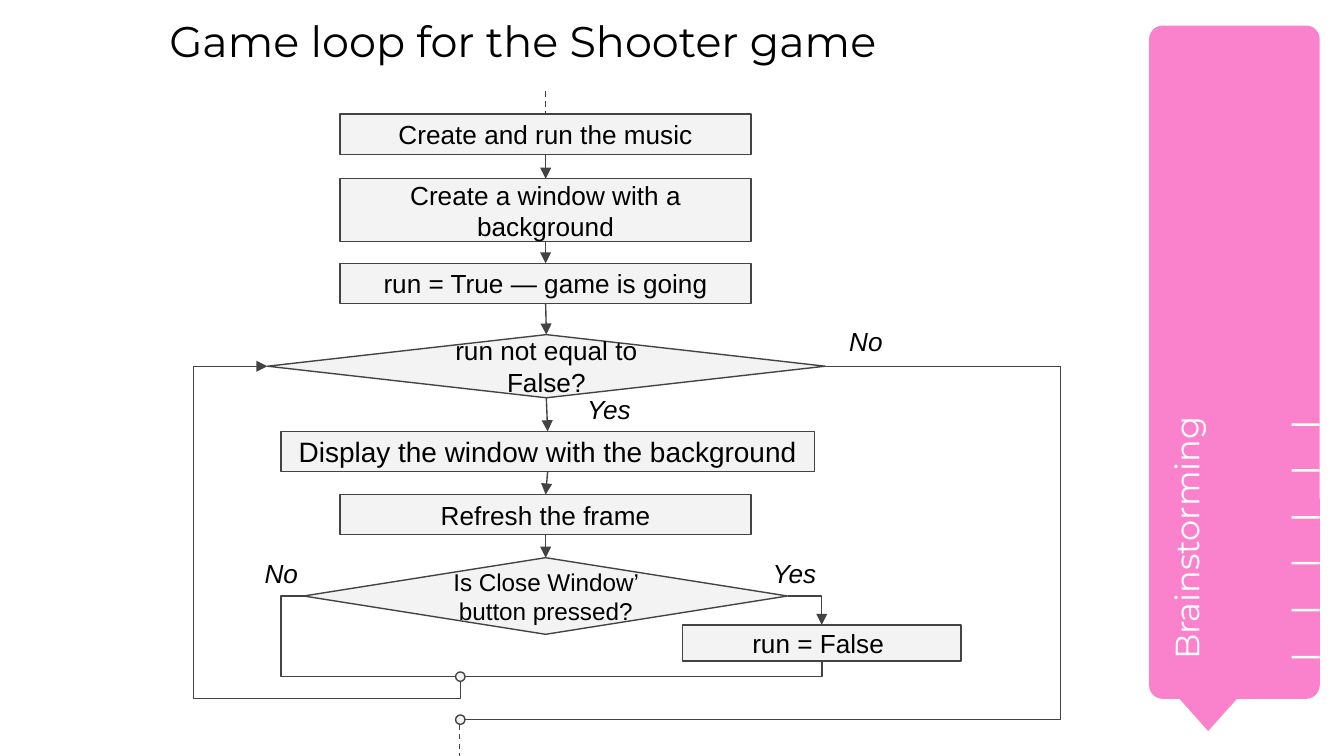
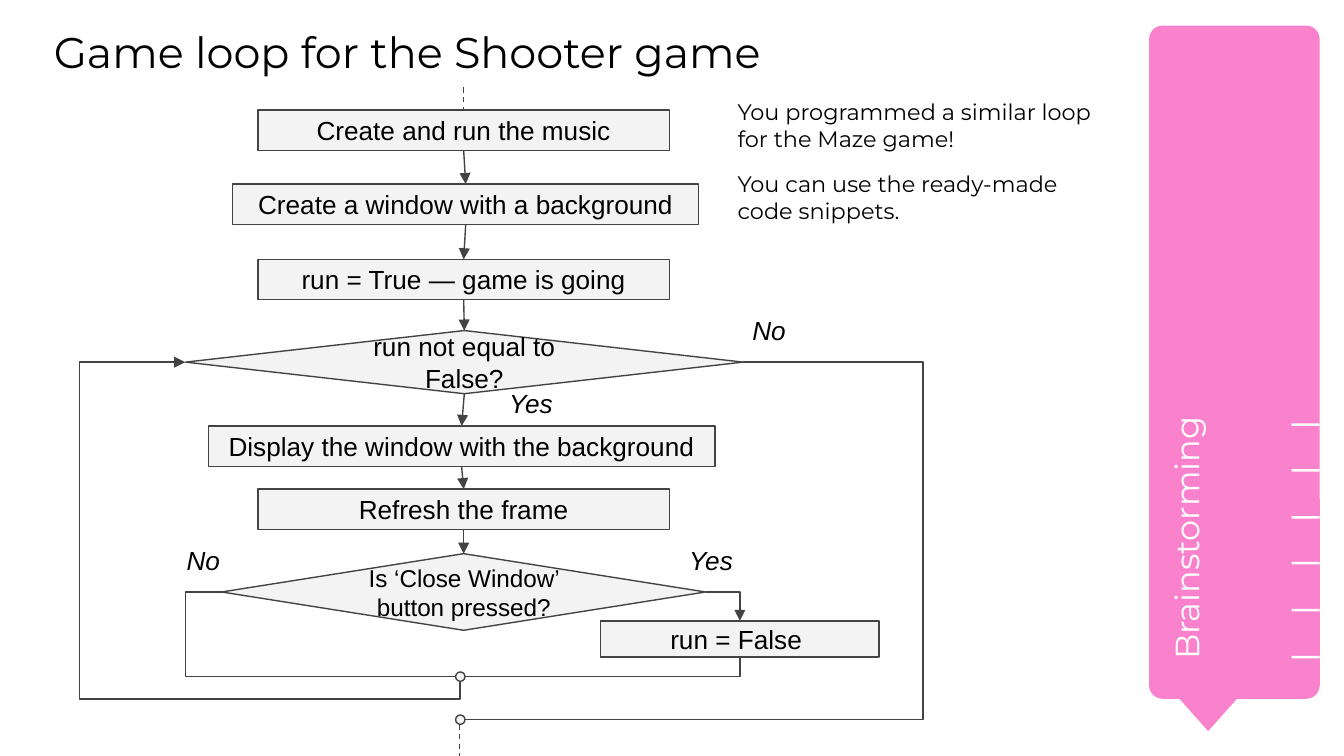
from dataclasses import dataclass

from lxml import etree
from pptx import Presentation
from pptx import util as u
from pptx.dml.color import RGBColor
from pptx.enum import dml, shapes, text
from pptx.oxml.ns import qn

PX = u.Inches(1) // 100
PINK, WHITE, BLACK = "FA82CC", "FFFFFF", "000000"
PALE, DARK = "F3F3F3", "434343"
HEADING_FONT, CHART_FONT = "Montserrat", "Arial"
TITLE = "Game loop for the Shooter game"
RECT = shapes.MSO_SHAPE.RECTANGLE
DECISION = shapes.MSO_SHAPE.FLOWCHART_DECISION
SIDES = ("top", "left", "bottom", "right")
JOINT = 7


@dataclass
class Step:
    text: str
    top: int
    width: int = 306
    height: int = 30
    kind: int = RECT
    size: int = 14
    shift: int = 0


@dataclass
class Flow:
    """Places inside a flowchart: x from its left, label places from axis and top."""
    axis: int
    joint_x: int
    no_rail: int
    steps: list
    labels: list


def px(*lengths):
    return [length * PX for length in lengths]


def color(hex_text):
    return RGBColor.from_string(hex_text)


def write(frame, lines, font, size, ink=BLACK, inset=10, align=text.PP_ALIGN.LEFT,
          anchor=text.MSO_ANCHOR.TOP, italic=False, gap=0):
    frame.word_wrap = True
    frame.auto_size = text.MSO_AUTO_SIZE.NONE
    frame.vertical_anchor = anchor
    for side in SIDES:
        setattr(frame, f"margin_{side}", inset * PX)
    for index, line in enumerate(lines):
        para = frame.add_paragraph() if index else frame.paragraphs[0]
        para.alignment = align
        if index:
            para.space_before = u.Pt(gap)
        span = para.add_run()
        span.text = line
        span.font.name, span.font.size = font, u.Pt(size)
        span.font.italic = italic
        span.font.color.rgb = color(ink)


def add_box(parent, kind, place, fill, outline=None):
    box = parent.shapes.add_shape(kind, *px(*place))
    box.shadow.inherit = False
    box.fill.solid()
    box.fill.fore_color.rgb = color(fill)
    if outline:
        box.line.color.rgb = color(outline)
        box.line.width = u.Pt(0.75)
    else:
        box.line.fill.background()
    return box


def add_text(page, place, lines, font, size, **style):
    box = page.shapes.add_textbox(*px(*place))
    write(box.text_frame, lines, font, size, **style)
    return box


def style_line(line, arrow=False, dashed=False):
    line.line.color.rgb = color(DARK)
    line.line.width = u.Pt(0.75)
    if dashed:
        line.line.dash_style = dml.MSO_LINE.DASH
    properties = line.element.spPr
    if arrow:
        etree.SubElement(properties.find(qn("a:ln")), qn("a:tailEnd"), type="triangle")
    etree.SubElement(properties, qn("a:effectLst"))


def dashed_line(page, x, top, bottom):
    line = page.shapes.add_connector(shapes.MSO_CONNECTOR.STRAIGHT, *px(x, top, x, bottom))
    style_line(line, dashed=True)


def side_point(box, side):
    x, y = box.left + box.width // 2, box.top + box.height // 2
    return {"top": (x, box.top), "left": (box.left, y),
            "bottom": (x, box.top + box.height), "right": (box.left + box.width, y)}[side]


def glue(line, tag, box, side):
    # Ellipses have eight connection sites, the other shapes four.
    step = 2 if box.auto_shape_type == shapes.MSO_SHAPE.OVAL else 1
    holder = line.element.find(".//" + qn("p:cNvCxnSpPr"))
    etree.SubElement(holder, qn(tag), id=str(box.shape_id),
                     idx=str(SIDES.index(side) * step))


def link(page, start, end, arrow=True, elbow=False, turns=()):
    """Join two (shape, side) ends; turns are the px rails an elbow runs along."""
    first, last = side_point(*start), side_point(*end)
    downward = elbow and start[1] == "bottom"
    ends = [first, last]
    if downward:
        x, y = [(a + b) // 2 for a, b in zip(first, last)]
        ends = [(x + b - y, y - a + x) for a, b in ends]
    kind = shapes.MSO_CONNECTOR.ELBOW if elbow else shapes.MSO_CONNECTOR.STRAIGHT
    line = page.shapes.add_connector(kind, *ends[0], *ends[1])
    if elbow:
        geometry = line.element.spPr.find(qn("a:prstGeom"))
        geometry.set("prst", f"bentConnector{len(turns) + 2}")
        guides = geometry.find(qn("a:avLst"))
        for index, rail in enumerate(turns):
            axis = (index + downward) % 2
            share = (rail * PX - first[axis]) / (last[axis] - first[axis])
            etree.SubElement(guides, qn("a:gd"), name=f"adj{index + 1}",
                             fmla=f"val {round(share * 100000)}")
    if downward:
        line.element.spPr.find(qn("a:xfrm")).set("rot", str(90 * 60000))
    glue(line, "a:stCxn", *start)
    glue(line, "a:endCxn", *end)
    style_line(line, arrow)


def side_banner(page, left, top, width, height):
    group = page.shapes.add_group_shape()
    body = add_box(group, shapes.MSO_SHAPE.ROUNDED_RECTANGLE,
                   (left, top, width, height - 24), PINK)
    body.adjustments[0] = 0.08
    add_box(group, shapes.MSO_SHAPE.FLOWCHART_MERGE,
            (left + 11, top + height - 37, 66, 37), PINK)
    label = add_text(page, (left - 141, top + 271, 354, 67), ["Brainstorming"],
                     HEADING_FONT, 18, ink=WHITE)
    label.rotation = 270
    for index in range(6):
        tick_top = top + 296 + index * 173 // 5
        add_box(page, RECT, (left + width - 21, tick_top, 21, 2), WHITE)


def add_step(page, step, center, top):
    place = (center + step.shift - step.width // 2, top + step.top, step.width, step.height)
    box = add_box(page, step.kind, place, PALE, DARK)
    write(box.text_frame, [step.text], CHART_FONT, step.size,
          align=text.PP_ALIGN.CENTER, anchor=text.MSO_ANCHOR.MIDDLE)
    return box


def flowchart(page, left, top, width, height, flow):
    center, bottom = left + flow.axis, top + height
    spine = [add_step(page, step, center, top) for step in flow.steps]
    stop = add_step(page, Step("run = False ", 397, 207, 27), center + 205, top)
    merge, finish = [
        add_box(page, shapes.MSO_SHAPE.OVAL,
                (left + flow.joint_x, bottom - rise, JOINT, JOINT), PALE, DARK)
        for rise in (66, 34)]
    for label, x, y in flow.labels:
        add_text(page, (center + x, top + y, 93, 29), [label], CHART_FONT, 14, italic=True)

    dashed_line(page, center, top, top + flow.steps[0].top)
    for above, below in zip(spine, spine[1:]):
        link(page, (above, "bottom"), (below, "top"))
    running, closing = spine[3], spine[6]
    link(page, (closing, "right"), (stop, "top"), elbow=True)
    link(page, (closing, "left"), (merge, "left"), arrow=False, elbow=True,
         turns=[left + flow.no_rail])
    link(page, (stop, "bottom"), (merge, "right"), arrow=False, elbow=True)
    link(page, (merge, "bottom"), (running, "left"), elbow=True,
         turns=[bottom - 46, left])
    link(page, (running, "right"), (finish, "right"), arrow=False, elbow=True,
         turns=[left + width])
    dashed_line(page, left + flow.joint_x + JOINT // 2, bottom - 34 + JOINT, bottom)


def loop_steps(window, display, close_text):
    return [
        Step("Create and run the music", 17),
        window,
        Step("run = True — game is going", 128),
        Step("run not equal to False?", 181, 415, 47, DECISION),
        display,
        Step("Refresh the frame", display.top + 47),
        Step(close_text, 347, 360, 57, DECISION, 13),
    ]


def loop_slide(deck, title_place, chart_place, flow):
    page = deck.slides.add_slide(deck.slide_layouts[5])
    side_banner(page, 855, 19, 127, 525)
    title = page.shapes.title
    title.left, title.top, title.width, title.height = px(*title_place)
    write(title.text_frame, [TITLE], HEADING_FONT, 23, inset=0)
    flowchart(page, *chart_place, flow)
    return page


def add_note(page, place):
    note = add_text(page, place,
                    ["You programmed a similar loop for the Maze game!",
                     "You can use the ready-made code snippets."],
                    HEADING_FONT, 12, gap=10)
    note.text_frame.auto_size = text.MSO_AUTO_SIZE.SHAPE_TO_FIT_TEXT


def main():
    deck = Presentation()
    deck.slide_width = 1000 * PX
    deck.slide_height = deck.slide_width * 9 // 16
    window, display = "Create a window with a background", "Display the window with the background"

    loop_slide(deck, (126, 11, 579, 57), (144, 68, 645, 498), Flow(
        axis=262, joint_x=195, no_rail=65,
        steps=loop_steps(Step(window, 65, height=47),
                         Step(display, 253, 397, size=15, shift=1),
                         "Is Close Window’ button pressed?"),
        labels=[("Yes", 21, 215), ("Yes", 159, 337), ("No", -219, 337), ("No", 216, 164)]))

    page = loop_slide(deck, (40, 19, 783, 57), (59, 65, 628, 501), Flow(
        axis=286, joint_x=280, no_rail=79,
        steps=loop_steps(Step(window, 72, 347, shift=1), Step(display, 252, 377, shift=-2),
                         "Is ‘Close Window’ button pressed?"),
        labels=[("Yes", 24, 213), ("Yes", 158, 330), ("No", -216, 330), ("No", 205, 159)]))
    add_note(page, (539, 63, 296, 115))

    deck.save("out.pptx")


if __name__ == "__main__":
    main()
